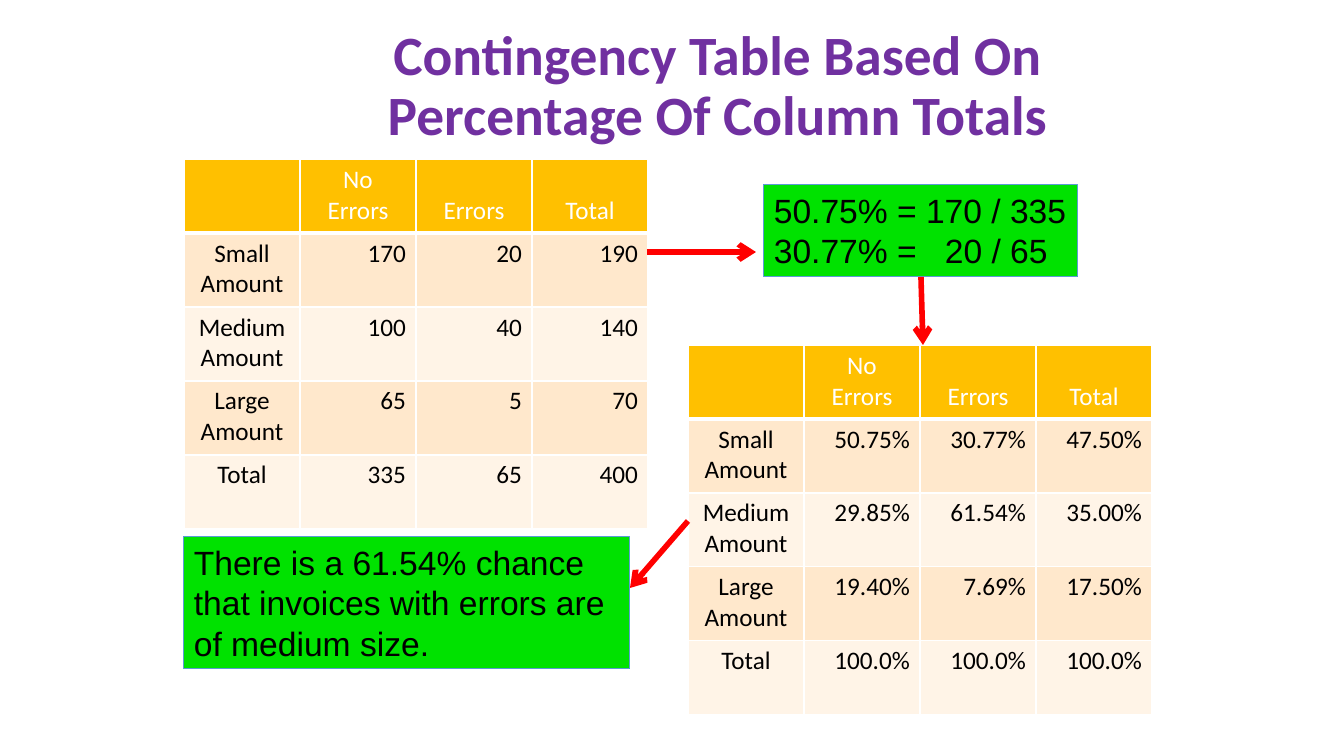
import pptx
import pptx.util
import pptx.dml.color
import pptx.enum.shapes
import pptx.enum.text
import pptx.oxml
import pptx.oxml.ns
from lxml import etree

SCALE = 12192000 / 1344  # EMU in one px
HUES = {"title": "7030A0", "head": "FFC000", "odd": "FFE8CC", "even": "FFF4E7",
        "box": "00E200", "edge": "5B9BD5", "arrow": "FF0000",
        "white": "FFFFFF", "black": "000000"}
ALIGN = pptx.enum.text.PP_ALIGN
ANCHOR = pptx.enum.text.MSO_ANCHOR
NS = pptx.oxml.ns.nsdecls("a")


def px(num):
    return pptx.util.Emu(round(num * SCALE))


def hue(name):
    return pptx.dml.color.RGBColor.from_string(HUES[name])


class Board:
    """Holds the style and the current slide."""

    def __init__(self, deck):
        self.slide = deck.slides.add_slide(deck.slide_layouts[5])
        self.shapes = self.slide.shapes

    def label(self, frame, text, size, face, color, align, bold=False):
        frame.text = text
        for para in frame.paragraphs:
            para.alignment = align
            font = para.font
            font.size, font.name, font.bold = pptx.util.Pt(size), face, bold
            font.color.rgb = hue(color)

    def title(self, text, x, y, w, h):
        shape = self.shapes.title
        shape.left, shape.top, shape.width, shape.height = map(px, (x, y, w, h))
        frame = shape.text_frame
        frame.auto_size = pptx.enum.text.MSO_AUTO_SIZE.NONE
        frame.vertical_anchor = ANCHOR.MIDDLE
        self.label(frame, text, 39.6, "Calibri", "title", ALIGN.CENTER, True)
        frame.paragraphs[0].line_spacing = 0.9

    def border(self, cell, base):
        props = cell._tc.get_or_add_tcPr()
        for side in "LRTB":
            wide = pptx.util.Pt(base if side == "B" else 1)
            props.append(pptx.oxml.parse_xml(
                f'<a:ln{side} {NS} w="{wide}"><a:solidFill>'
                f'<a:srgbClr val="{HUES["white"]}"/></a:solidFill></a:ln{side}>'))

    def table(self, rows, x, y, wide=116, high=74):
        count = len(rows[0])
        grid = self.shapes.add_table(len(rows), count, px(x), px(y),
                                     px(wide * count), px(high * len(rows))).table
        grid.first_row = grid.horz_banding = False
        for col in grid.columns:
            col.width = px(wide)
        for r, row in enumerate(rows):
            grid.rows[r].height = px(high)
            for c, text in enumerate(row):
                cell = grid.cell(r, c)
                head = r == 0
                self.border(cell, 3 if head else 1)
                cell.fill.solid()
                cell.fill.fore_color.rgb = hue(
                    "head" if head else "odd" if r % 2 else "even")
                if head:
                    cell.vertical_anchor = ANCHOR.BOTTOM
                    cell.margin_bottom = px(7)
                self.label(cell.text_frame, text, 18, "Calibri",
                           "white" if head else "black",
                           ALIGN.CENTER if head or c == 0 else ALIGN.RIGHT)

    def box(self, text, x, y, w, h, wrap=True, tab=None):
        shape = self.shapes.add_shape(pptx.enum.shapes.MSO_SHAPE.RECTANGLE,
                                      px(x), px(y), px(w), px(h))
        shape.shadow.inherit = False
        shape.fill.solid()
        shape.fill.fore_color.rgb = hue("box")
        shape.line.color.rgb = hue("edge")
        shape.line.width = pptx.util.Pt(0.75)
        frame = shape.text_frame
        frame.word_wrap = wrap
        frame.vertical_anchor = ANCHOR.TOP
        self.label(frame, text, 24, "Arial", "black", ALIGN.LEFT)
        if tab:
            for para in frame.paragraphs:
                para._p.get_or_add_pPr().insert(0, pptx.oxml.parse_xml(
                    f'<a:tabLst {NS}><a:tab pos="{px(tab)}" algn="l"/></a:tabLst>'))
        return shape

    def arrow(self, x1, y1, x2, y2, start=None):
        link = self.shapes.add_connector(pptx.enum.shapes.MSO_CONNECTOR.STRAIGHT,
                                         px(x1), px(y1), px(x2), px(y2))
        if start:
            link.begin_connect(start, 2)
        link.line.color.rgb = hue("arrow")
        link.line.width = pptx.util.Pt(4)
        tag = pptx.oxml.ns.qn
        props = link._element.spPr
        etree.SubElement(props.find(tag("a:ln")), tag("a:tailEnd"), type="arrow")
        etree.SubElement(props, tag("a:effectLst"))


def main():
    deck = pptx.Presentation()
    deck.slide_width, deck.slide_height = px(1344), px(756)
    board = Board(deck)

    board.title("Contingency Table Based On Percentage Of Column Totals",
                260, 33, 915, 109)

    # Tables of counts and of column shares
    head = ["", "No\nErrors", "Errors", "Total"]
    names = ["Small\nAmount", "Medium\nAmount", "Large\nAmount", "Total"]
    counts = ["170 20 190", "100 40 140", "65 5 70", "335 65 400"]
    shares = ["50.75% 30.77% 47.50%", "29.85% 61.54% 35.00%",
              "19.40% 7.69% 17.50%", "100.0% 100.0% 100.0%"]
    for data, x, y in ((counts, 184, 159), (shares, 688, 345)):
        body = [[name] + line.split() for name, line in zip(names, data)]
        board.table([head] + body, x, y)

    # Notes
    sums = board.box("50.75% = 170 / 335\n30.77% =\t20 / 65",
                     764, 185, 314, 92, wrap=False, tab=171)
    board.box("There is a 61.54% chance that invoices with errors are "
              "of medium size.", 184, 537, 446, 132)

    # Arrows from counts to sums to shares to the finding
    board.arrow(647, 252, 756, 252)
    board.arrow(921, 277, 923, 345, sums)
    board.arrow(688, 521, 630, 588)

    deck.save("out.pptx")


if __name__ == "__main__":
    main()
